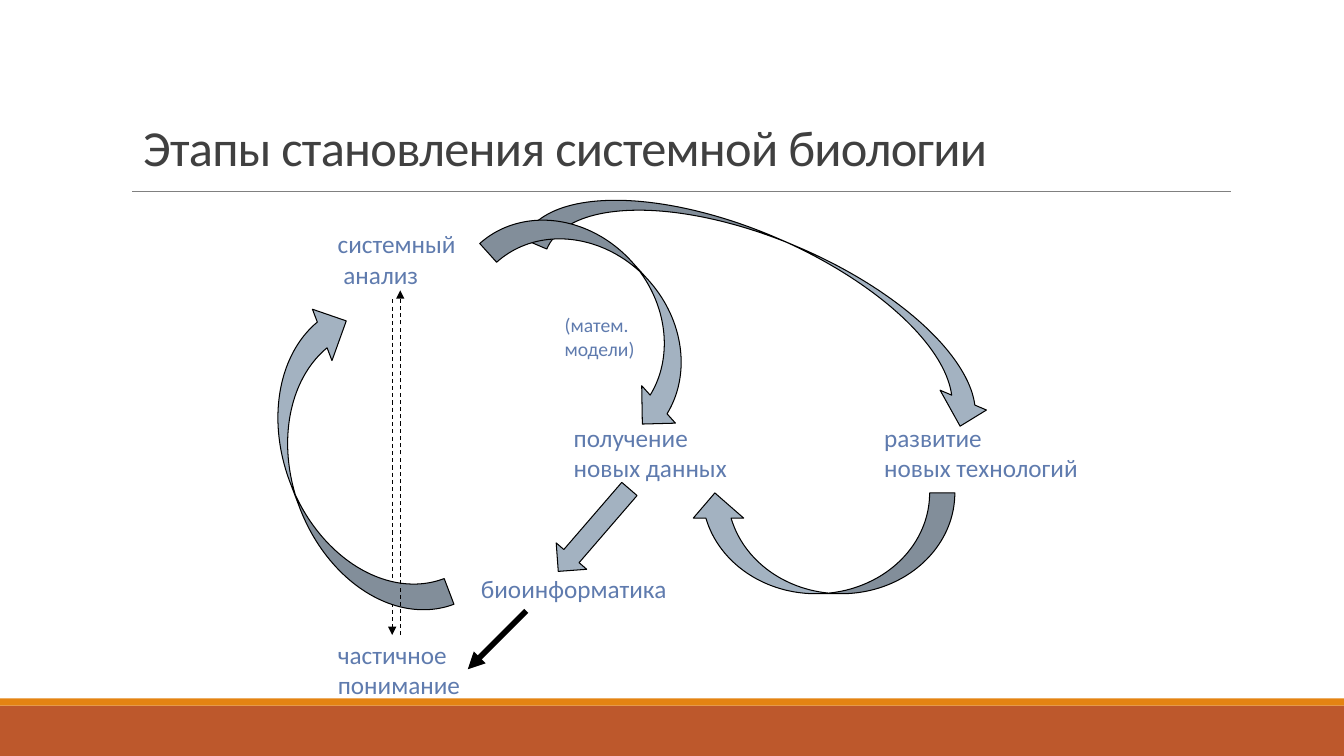
from lxml import etree
from pptx import Presentation
from pptx.dml.color import RGBColor
from pptx.enum.dml import MSO_LINE
from pptx.enum.shapes import MSO_CONNECTOR, MSO_SHAPE
from pptx.enum.text import MSO_ANCHOR, MSO_AUTO_SIZE, PP_ALIGN
from pptx.oxml.ns import qn
from pptx.util import Inches, Pt

RECTANGLE = MSO_SHAPE.RECTANGLE
CURVED_ARROW = MSO_SHAPE.CURVED_DOWN_ARROW
LEFT_ARROW = MSO_SHAPE.LEFT_ARROW
STRAIGHT = MSO_CONNECTOR.STRAIGHT
DASH = MSO_LINE.DASH
TITLE_ONLY = 5


def color(value):
    return RGBColor.from_string(value)


class CyclePage:
    font = "Calibri"
    label_color = "5F7BAE"
    title_color = "404040"
    arrow_fill = "A3B2C1"
    ink = "000000"

    def __init__(self, deck):
        self.page = deck.slides.add_slide(deck.slide_layouts[TITLE_ONLY])

    def place(self, shape, left, top, width, height):
        shape.left, shape.top = Inches(left), Inches(top)
        shape.width, shape.height = Inches(width), Inches(height)

    def format_text(self, frame, size, fill):
        for para in frame.paragraphs:
            para.alignment = PP_ALIGN.LEFT
            for span in para.runs:
                span.font.name = self.font
                span.font.size = Pt(size)
                span.font.color.rgb = color(fill)

    def title(self, text, *area):
        box = self.page.shapes.title
        self.place(box, *area)
        frame = box.text_frame
        frame.text = text
        frame.word_wrap = True
        frame.auto_size = MSO_AUTO_SIZE.NONE
        frame.vertical_anchor = MSO_ANCHOR.BOTTOM
        self.format_text(frame, 36, self.title_color)
        para = frame.paragraphs[0]
        para.line_spacing = 0.85
        para.runs[0]._r.get_or_add_rPr().set("spc", "-50")

    def label(self, text, *area, size=18):
        box = self.page.shapes.add_textbox(*map(Inches, area))
        frame = box.text_frame
        frame.text = text
        frame.word_wrap = False
        frame.auto_size = MSO_AUTO_SIZE.SHAPE_TO_FIT_TEXT
        frame.margin_left = frame.margin_right = Inches(0.05)
        frame.margin_top = frame.margin_bottom = Inches(0.05)
        self.format_text(frame, size, self.label_color)

    def shape(self, kind, fill, *area):
        shape = self.page.shapes.add_shape(kind, *map(Inches, area))
        shape.shadow.inherit = False
        shape.fill.solid()
        shape.fill.fore_color.rgb = color(fill)
        return shape

    def bar(self, fill, *area):
        self.shape(RECTANGLE, fill, *area).line.fill.background()

    def block_arrow(self, kind, rotation, *area):
        arrow = self.shape(kind, self.arrow_fill, *area)
        arrow.rotation = rotation
        arrow.line.color.rgb = color(self.ink)
        arrow.line.width = Pt(0.75)

    def line(self, start, end, width, stroke=ink, dash=None, head=True):
        line = self.page.shapes.add_connector(
            STRAIGHT, *map(Inches, (*start, *end)))
        line.line.color.rgb = color(stroke)
        line.line.width = Pt(width)
        if dash:
            line.line.dash_style = dash
        if head:
            etree.SubElement(line.line._get_or_add_ln(), qn("a:tailEnd"), type="triangle")
        etree.SubElement(line._element.spPr, qn("a:effectLst"))


def main():
    deck = Presentation()
    deck.slide_width, deck.slide_height = Inches(13.33), Inches(7.5)
    cycle = CyclePage(deck)

    cycle.bar("BD582C", 0, 7, 13.33, 0.5)
    cycle.bar("E48312", 0, 6.93, 13.33, 0.07)
    cycle.line((1.31, 1.9), (12.21, 1.9), 0.5, "808080", head=False)
    cycle.title("Этапы становления системной биологии", 1.32, 0.48, 9.32, 1.32)

    cycle.label("получение\nновых данных", 5.64, 4.14, 1.75, 0.71)
    cycle.label("развитие\nновых технологий", 8.72, 4.14, 2.24, 0.71)
    cycle.block_arrow(CURVED_ARROW, 23.2, 5.19, 2.39, 4.96, 1)
    cycle.block_arrow(CURVED_ARROW, 180, 6.84, 4.89, 2.63, 1)
    cycle.label("системный\n анализ", 3.3, 2.22, 1.4, 0.71)
    cycle.label("частичное\nпонимание", 3.3, 6.29, 1.45, 0.71)
    cycle.line((5.22, 6.06), (4.64, 6.64), 4)
    cycle.line((3.89, 2.97), (3.89, 6.3), 0.75, dash=DASH)
    cycle.label("биоинформатика", 4.72, 5.64, 2.19, 0.4)
    cycle.block_arrow(LEFT_ARROW, 310.8, 5.35, 5.06, 1.08, 0.4)
    cycle.block_arrow(CURVED_ARROW, 48, 4.69, 2.57, 2.66, 1)
    cycle.block_arrow(CURVED_ARROW, 249.2, 1.77, 4.11, 3.28, 1.09)
    cycle.label("(матем.\nмодели)", 5.55, 3.06, 0.86, 0.57, size=14)
    cycle.line((3.97, 6.3), (3.97, 2.88), 0.75, dash=DASH)

    deck.save("out.pptx")


if __name__ == "__main__":
    main()
